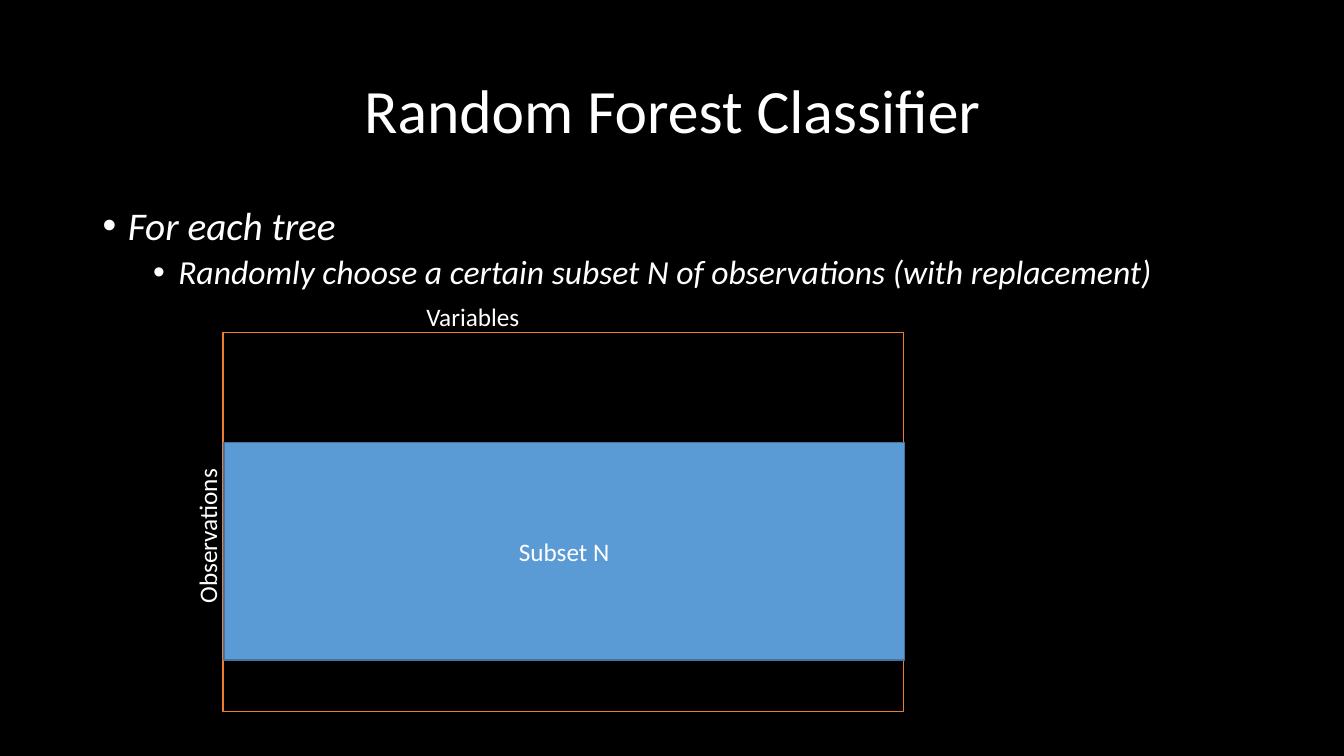
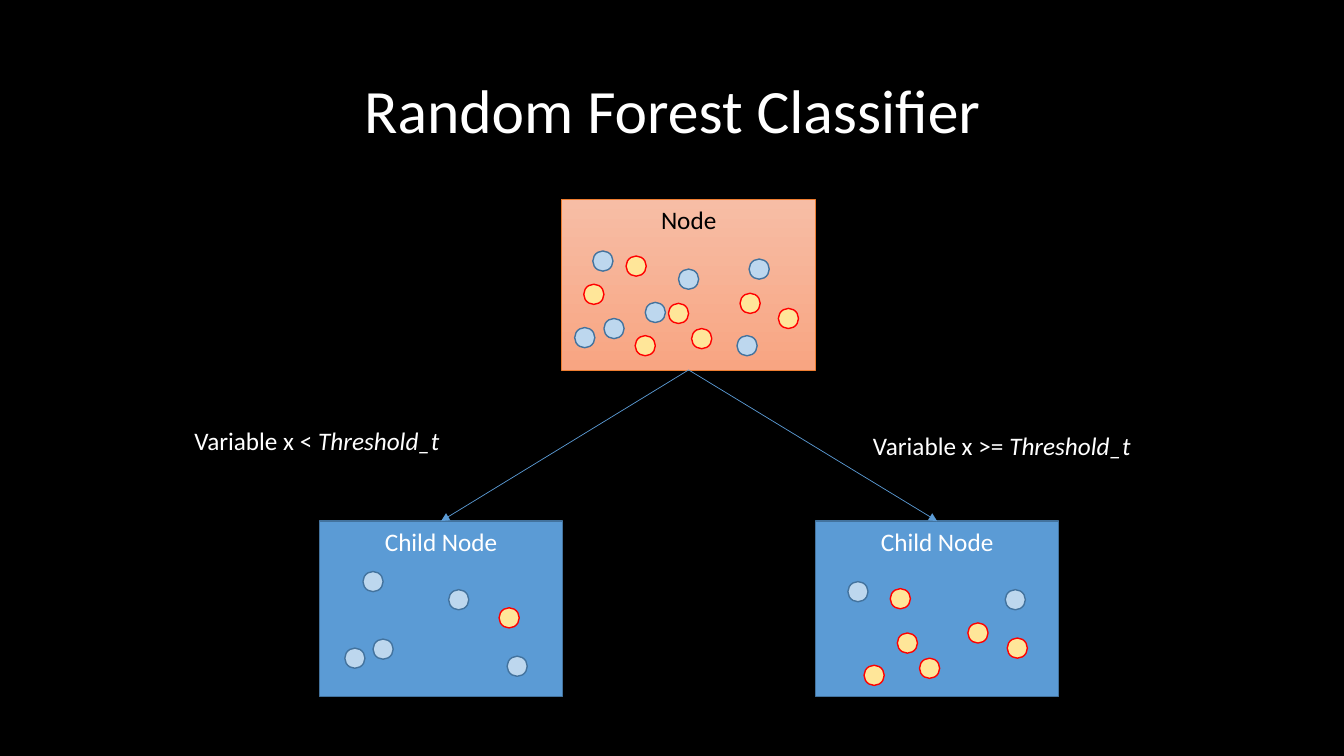
from dataclasses import dataclass

from lxml import etree
from pptx import Presentation
from pptx import util as u
from pptx.dml.color import RGBColor
from pptx.enum import shapes, text
from pptx.oxml import ns

FONT = "Calibri"
BLACK, WHITE = "000000", "FFFFFF"
BLUE, DARK_BLUE, PALE_BLUE = "5B9BD5", "43739E", "BDD7EE"
ORANGE, RED, YELLOW = "ED7D31", "FF0000", "FFE699"
NODE_GRADIENT = ("F7BDA5", "F8A582")
TITLE = "Random Forest Classifier"
DOT_SIZE = 0.2


@dataclass(frozen=True)
class Box:
    """Position and size in inches."""

    left: float
    top: float
    width: float
    height: float

    def emu(self) -> tuple:
        """Return the four lengths for python-pptx."""
        return tuple(map(u.Inches, (self.left, self.top, self.width, self.height)))


@dataclass(frozen=True)
class Look:
    """Fill and outline of a shape; two fill colours make a gradient."""

    fill: tuple[str, ...]
    line: str
    weight: float = 1


@dataclass(frozen=True)
class Node:
    """A tree node with the corners of its blue and yellow samples."""

    label: str
    box: Box
    look: Look
    color: str
    blue: tuple
    yellow: tuple


@dataclass(frozen=True)
class Bullet:
    """A list entry with its level, size and space before."""

    label: str
    level: int
    size: float
    before: float


FRAME = Look((), ORANGE)
SOLID = Look((BLUE,), DARK_BLUE)
BLUE_DOT = Look((PALE_BLUE,), DARK_BLUE)
YELLOW_DOT = Look((YELLOW,), RED)

BULLETS = (
    Bullet("For each tree", 0, 28, 10),
    Bullet("Randomly choose a certain subset N of observations (with replacement)", 1, 24, 5),
)
ROOT = Node(
    "Node", Box(5.57, 1.98, 2.52, 1.69), Look(NODE_GRADIENT, ORANGE, 0.5), BLACK,
    blue=((5.88, 2.49), (6.4, 3), (6.73, 2.67), (5.99, 3.16), (7.43, 2.57),
          (7.31, 3.33), (5.7, 3.25)),
    yellow=((5.79, 2.82), (6.3, 3.33), (6.63, 3.01), (6.86, 3.26), (7.34, 2.91),
            (7.72, 3.06), (6.21, 2.54)),
)
CHILDREN = (
    Node(
        "Child Node", Box(8.09, 5.17, 2.41, 1.74), SOLID, WHITE,
        blue=((9.97, 5.85), (8.41, 5.77)),
        yellow=((8.57, 6.6), (8.9, 6.28), (9.12, 6.53), (9.6, 6.18), (9.99, 6.33),
                (8.83, 5.84)),
    ),
    Node(
        "Child Node", Box(3.17, 5.17, 2.41, 1.74), SOLID, WHITE,
        blue=((3.6, 5.67), (4.45, 5.85), (3.7, 6.34), (5.03, 6.51), (3.42, 6.43)),
        yellow=((4.95, 6.03),),
    ),
)
CONDITIONS = (
    ("Variable x < ", Box(1.83, 4.17, 2.82, 0.4)),
    ("Variable x >= ", Box(8.56, 4.22, 2.82, 0.4)),
)


def rgb(color: str) -> RGBColor:
    """Turn a hex string into a colour."""
    return RGBColor.from_string(color)


def style(p, size: float = 18, color: str = WHITE) -> None:
    """Set the font of a paragraph and its runs."""
    for font in (p.font, *(r.font for r in p.runs)):
        font.name, font.size = FONT, u.Pt(size)
        font.color.rgb = rgb(color)


def add_shape(parent, kind, box: Box, look: Look):
    """Draw a preset shape."""
    sp = parent.shapes.add_shape(kind, *box.emu())
    sp.shadow.inherit = False
    if len(look.fill) > 1:
        sp.fill.gradient()
        sp.fill.gradient_angle = 270
        for stop, color in zip(sp.fill.gradient_stops, look.fill):
            stop.color.rgb = rgb(color)
    elif look.fill:
        sp.fill.solid()
        sp.fill.fore_color.rgb = rgb(look.fill[0])
    else:
        sp.fill.background()
    sp.line.color.rgb = rgb(look.line)
    sp.line.width = u.Pt(look.weight)
    return sp


def set_label(sp, label: str, color: str, anchor) -> None:
    """Write a centred label in a shape."""
    tf = sp.text_frame
    tf.vertical_anchor = anchor
    p = tf.paragraphs[0]
    p.text = label
    p.alignment = text.PP_ALIGN.CENTER
    style(p, color=color)


def add_text(slide, box: Box, label: str, emphasis: str = "", rotation: float = 0) -> None:
    """Add a one-line text box, ending in italics if asked."""
    sp = slide.shapes.add_textbox(*box.emu())
    sp.rotation = rotation
    sp.text_frame.word_wrap = True
    p = sp.text_frame.paragraphs[0]
    p.add_run().text = label
    if emphasis:
        r = p.add_run()
        r.text = emphasis
        r.font.italic = True
    style(p)


def add_bullets(slide, box: Box, bullets: tuple[Bullet, ...]) -> None:
    """Add an italic bulleted list."""
    tf = slide.shapes.add_textbox(*box.emu()).text_frame
    tf.word_wrap = True
    for i, bullet in enumerate(bullets):
        p = tf.add_paragraph() if i else tf.paragraphs[0]
        r = p.add_run()
        r.text = bullet.label
        r.font.italic = True
        p.level = bullet.level
        p.line_spacing = 0.9
        p.space_before = u.Pt(bullet.before)
        props = p._p.get_or_add_pPr()
        props.set("marL", str(u.Inches(0.25 + 0.5 * bullet.level)))
        props.set("indent", str(u.Inches(-0.25)))
        etree.SubElement(props, ns.qn("a:buFont"), typeface="Arial")
        etree.SubElement(props, ns.qn("a:buChar"), char="•")
        style(p, bullet.size)


def add_node(slide, node: Node):
    """Draw a node with its samples as one group and return its rectangle."""
    group = slide.shapes.add_group_shape()
    sp = add_shape(group, shapes.MSO_SHAPE.RECTANGLE, node.box, node.look)
    set_label(sp, node.label, node.color, text.MSO_ANCHOR.TOP)
    for look, corners in ((BLUE_DOT, node.blue), (YELLOW_DOT, node.yellow)):
        for left, top in corners:
            add_shape(group, shapes.MSO_SHAPE.OVAL, Box(left, top, DOT_SIZE, DOT_SIZE), look)
    return sp


def add_arrow(slide, parent, child) -> None:
    """Join the bottom of one node to the top of another."""
    line = slide.shapes.add_connector(shapes.MSO_CONNECTOR.STRAIGHT, 0, 0, 0, 0)
    line.begin_connect(parent, 2)
    line.end_connect(child, 0)
    line.line.color.rgb = rgb(BLUE)
    line.line.width = u.Pt(0.5)
    etree.SubElement(line.line._get_or_add_ln(), ns.qn("a:tailEnd"), type="triangle")
    etree.SubElement(line._element.spPr, ns.qn("a:effectLst"))


def add_slide(prs):
    """Add a slide with the shared title."""
    slide = prs.slides.add_slide(prs.slide_layouts.get_by_name("Title Only"))
    sp = slide.shapes.title
    sp.left, sp.top, sp.width, sp.height = Box(0.92, 0.4, 11.5, 1.45).emu()
    set_label(sp, TITLE, WHITE, text.MSO_ANCHOR.MIDDLE)
    p = sp.text_frame.paragraphs[0]
    p.line_spacing = 0.9
    style(p, 44)
    return slide


def build_subset_slide(prs) -> None:
    """Show the subset of observations drawn for each tree."""
    slide = add_slide(prs)
    add_bullets(slide, Box(0.92, 2, 11.5, 1.02), BULLETS)
    add_shape(slide, shapes.MSO_SHAPE.RECTANGLE, Box(2.21, 3.3, 6.75, 3.76), FRAME)
    subset = add_shape(slide, shapes.MSO_SHAPE.RECTANGLE, Box(2.22, 4.39, 6.75, 2.16), SOLID)
    set_label(subset, "Subset N", WHITE, text.MSO_ANCHOR.MIDDLE)
    add_text(slide, Box(4.13, 2.94, 2.08, 0.4), "Variables")
    add_text(slide, Box(1.13, 5, 1.81, 0.36), "Observations", rotation=270)


def build_split_slide(prs) -> None:
    """Show a node split into two child nodes."""
    slide = add_slide(prs)
    root = add_node(slide, ROOT)
    children = [add_node(slide, child) for child in CHILDREN]
    for child in children:
        add_arrow(slide, root, child)
    for label, box in CONDITIONS:
        add_text(slide, box, label, emphasis="Threshold_t")


def main() -> None:
    """Build and save the presentation."""
    prs = Presentation()
    prs.slide_width, prs.slide_height = u.Inches(13.33), u.Inches(7.5)
    fill = prs.slide_master.background.fill
    fill.solid()
    fill.fore_color.rgb = rgb(BLACK)
    build_subset_slide(prs)
    build_split_slide(prs)
    prs.save("out.pptx")


if __name__ == "__main__":
    main()
